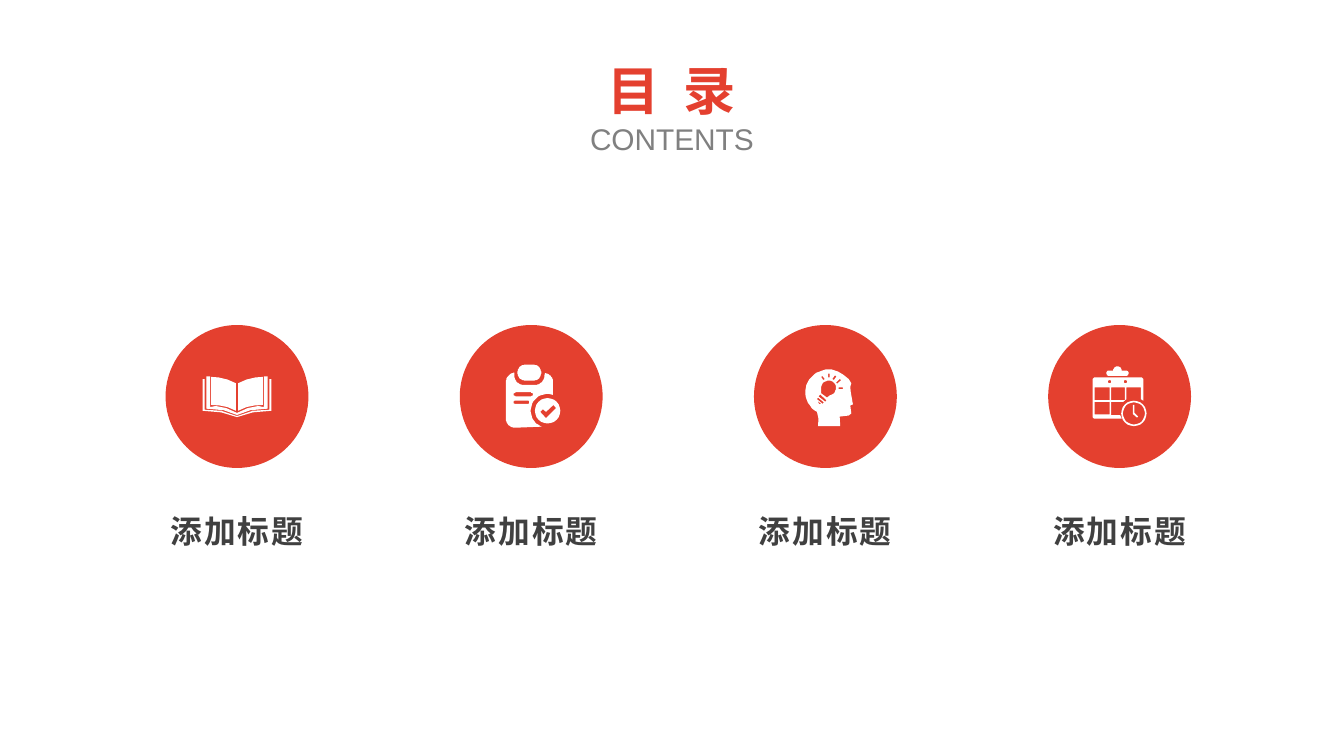
from math import cos, radians, sin

from pptx import Presentation
from pptx.dml.color import RGBColor
from pptx.enum.shapes import MSO_SHAPE
from pptx.enum.text import PP_ALIGN
from pptx.oxml.ns import qn
from pptx.util import Cm, Pt

OVAL = MSO_SHAPE.OVAL
CENTER = PP_ALIGN.CENTER
COLORS = {"red": "E4402F", "gray": "808080", "dark": "404040", "white": "FFFFFF"}
CJK_FONT = "Noto Sans CJK SC"


def arc(x, y, rx, ry, start=0, end=360, steps=24):
    """Points along an ellipse, angles clockwise from the right."""
    angles = [radians(start + (end - start) * i / steps) for i in range(steps + 1)]
    return [(x + rx * cos(a), y + ry * sin(a)) for a in angles]


def add_text(page, left, top, width, height, lines, spacing=None):
    """Add a centred box; each line is a list of (text, size, font, color, bold, tracking)."""
    box = page.shapes.add_textbox(Cm(left), Cm(top), Cm(width), Cm(height))
    frame = box.text_frame
    frame.word_wrap = True
    frame.margin_left = frame.margin_right = frame.margin_top = frame.margin_bottom = 0
    for number, spans in enumerate(lines):
        para = frame.add_paragraph() if number else frame.paragraphs[0]
        para.alignment = CENTER
        if spacing:
            para.line_spacing = spacing
        for text, size, font, color, bold, tracking in spans:
            span = para.add_run()
            span.text = text
            span.font.size = Pt(size)
            span.font.name = font
            span.font.bold = bold
            span.font.color.rgb = RGBColor.from_string(COLORS[color])
            properties = span.font._element
            properties.set("spc", str(tracking))
            east_asian = properties.makeelement(qn("a:ea"), {"typeface": CJK_FONT})
            properties.find(qn("a:latin")).addnext(east_asian)


deck = Presentation()
deck.slide_width, deck.slide_height = Cm(25.4), Cm(14.28)
page = deck.slides.add_slide(deck.slide_layouts[6])

# Heading
add_text(page, 10.64, 1.1, 4.12, 2.13, [
    [("目", 28, "Arial Narrow", "red", True, 0),
     (" ", 28, "Arial Narrow", "red", True, 640),
     ("录", 28, "Arial Narrow", "red", True, 0)],
    [("CONTENTS", 16, "Arial", "gray", False, 0)],
])

# Icon outlines, in hundredths of a centimetre from the centre of the disc
# Book: the outline of its left half is mirrored for the right half
left_page = [(-49, -37), (-35, -36), (-18, -32), (-2, -25),
             (-2, 27), (-18, 20), (-33, 17), (-49, 16)]
inner_cover = [(0, 31), (-20, 22), (-40, 18), (-51, 20), (-51, -38),
               (-58, -38), (-58, 23), (-25, 26), (0, 35)]
outer_cover = [(0, 37), (-30, 27), (-61, 25), (-61, -33),
               (-65, -33), (-65, 27), (-30, 30), (0, 39)]
book = []
for half in (left_page, inner_cover, outer_cover):
    book += [half, [(-x, y) for x, y in half]]

# Clipboard with a check badge
clip = arc(-11, -45, 15, 15, 90, 270) + arc(4, -45, 15, 15, -90, 90)
board = (arc(-30, -27, 18, 18, 180, 265) + arc(-14, -40, 18, 18, 180, 90)
         + arc(7, -40, 18, 18, 90, 0) + arc(25, -28, 16, 16, -85, 0)
         + arc(31, 27, 32, 32, -72, -250) + arc(-30, 41, 18, 18, 90, 180))
text_lines = [arc(-30, y, 3.5, 3.5, 90, 270) + arc(right, y, 3.5, 3.5, -90, 90)
              for y, right in ((-4, 0), (11, -7))]
check = [(22, 24), (28, 29), (42, 16), (47, 22), (28, 41), (17, 29)]
clipboard = [clip, board, *text_lines, arc(31, 27, 24, 24), check]

# Head with a light bulb
profile = ([(-14, 56), (-13, 42)] + arc(6, -8, 44, 43, 120, 310)
           + [(44, -33), (49, -25), (47, -18), (48, -8), (52, 15), (47, 17),
              (49, 32), (44, 36), (27, 38), (28, 56)])
bulb = arc(6, -16, 14, 14, 190, 440) + [(3, 2), (-8, -6)]
screw = [[(-10, -4), (-13, 0), (0, 10), (2, 7)],
         [(-14, 2), (-16, 5), (-5, 14), (-3, 11)],
         [(-15, 8), (-7, 15), (-12, 14)]]
rays = [[(5, -43), (8, -43), (8, -36), (5, -36)],
        [(18, -40), (21, -38), (16, -31), (13, -33)],
        [(27, -33), (30, -31), (22, -24), (20, -26)],
        [(25, -17), (33, -17), (33, -14), (25, -14)],
        [(-8, -37), (-6, -39), (-1, -33), (-4, -31)]]
head = [profile, bulb, *screw, *rays]

# Calendar with a clock
hanger = arc(-20, -44, 5, 5, 90, 270) + arc(-4, -49, 8, 8, 180, 360) + arc(12, -44, 5, 5, -90, 90)
sheet = [(-51, -33), (-48, -36), (42, -36), (45, -33), (45, 8), (40, 5), (40, -17),
         (13, -17), (13, 5), (7, 10), (-16, 10), (-16, 35), (1, 35), (4, 42),
         (-48, 42), (-51, 39)]
cells = [[(x, y), (x + width, y), (x + width, y + 24), (x, y + 24)]
         for x, y, width in ((-47, -17, 28), (-16, -17, 26), (-47, 10, 28))]
rings = [arc(x, -28, 3, 3) for x in (-19, 11)]
hands = [(25, 16), (28, 16), (28, 31), (35, 38), (33, 40), (25, 33)]
calendar = [hanger, sheet, *cells, *rings, arc(27, 32, 24, 24), arc(27, 32, 21, 21), hands]

# Four topics: disc, icon and label
first_center, pitch, center_y, diameter = 4.48, 5.56, 7.49, 2.7
label_width = 4.42
for number, icon in enumerate((book, clipboard, head, calendar)):
    center_x = first_center + number * pitch
    disc = page.shapes.add_shape(OVAL, Cm(center_x - diameter / 2), Cm(center_y - diameter / 2),
                                 Cm(diameter), Cm(diameter))
    builder = page.shapes.build_freeform(*icon[0][0], scale=Cm(0.01))
    for contour in icon:
        builder.move_to(*contour[0])
        builder.add_line_segments(contour[1:], close=True)
    symbol = builder.convert_to_shape(Cm(center_x), Cm(center_y))
    for shape, color in ((disc, "red"), (symbol, "white")):
        shape.shadow.inherit = False
        shape.fill.solid()
        shape.fill.fore_color.rgb = RGBColor.from_string(COLORS[color])
        shape.line.fill.background()
    add_text(page, center_x - label_width / 2, 9.3, label_width, 1.22,
             [[("添加标题", 17, CJK_FONT, "dark", True, 100)]], spacing=1.5)

deck.save("out.pptx")
